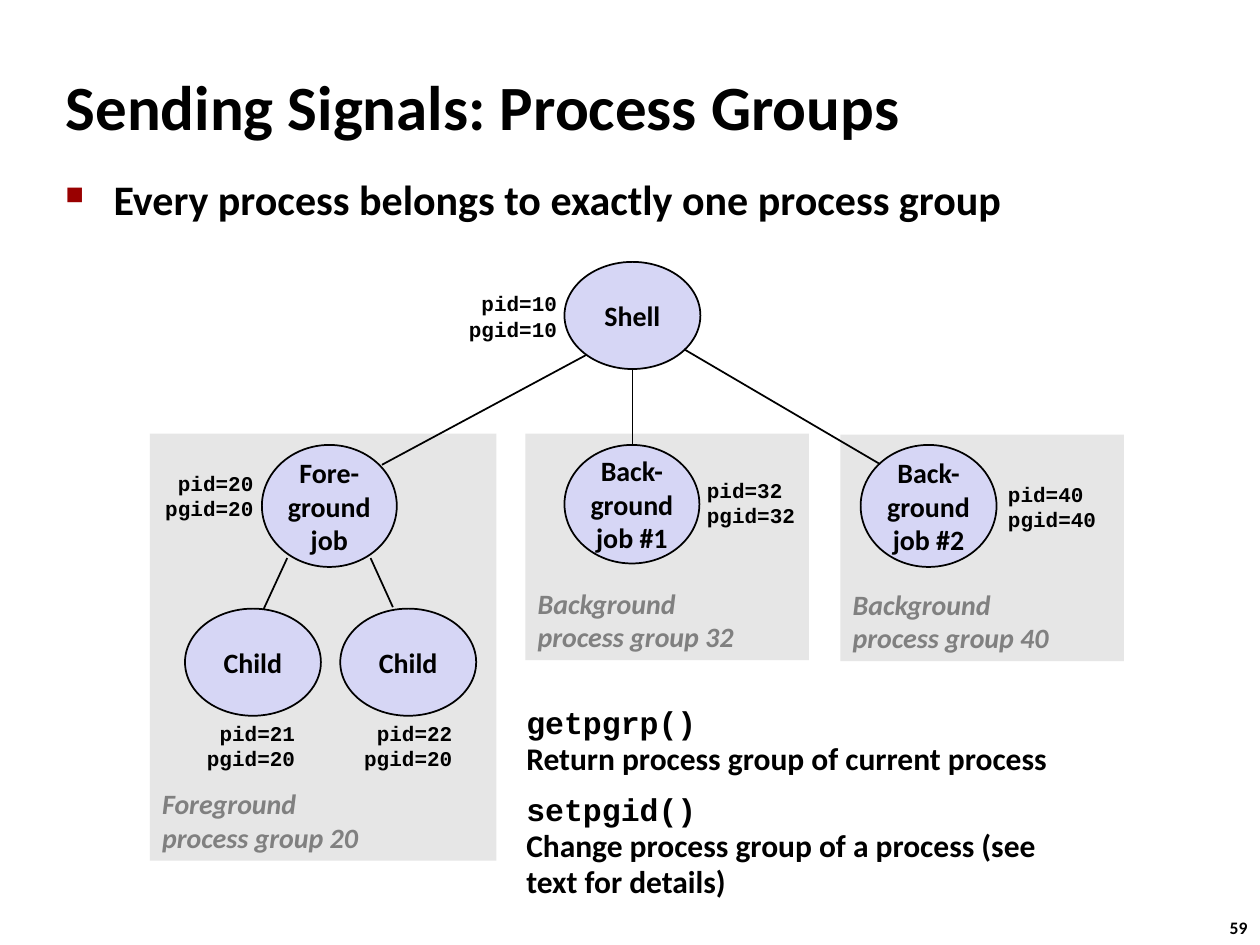
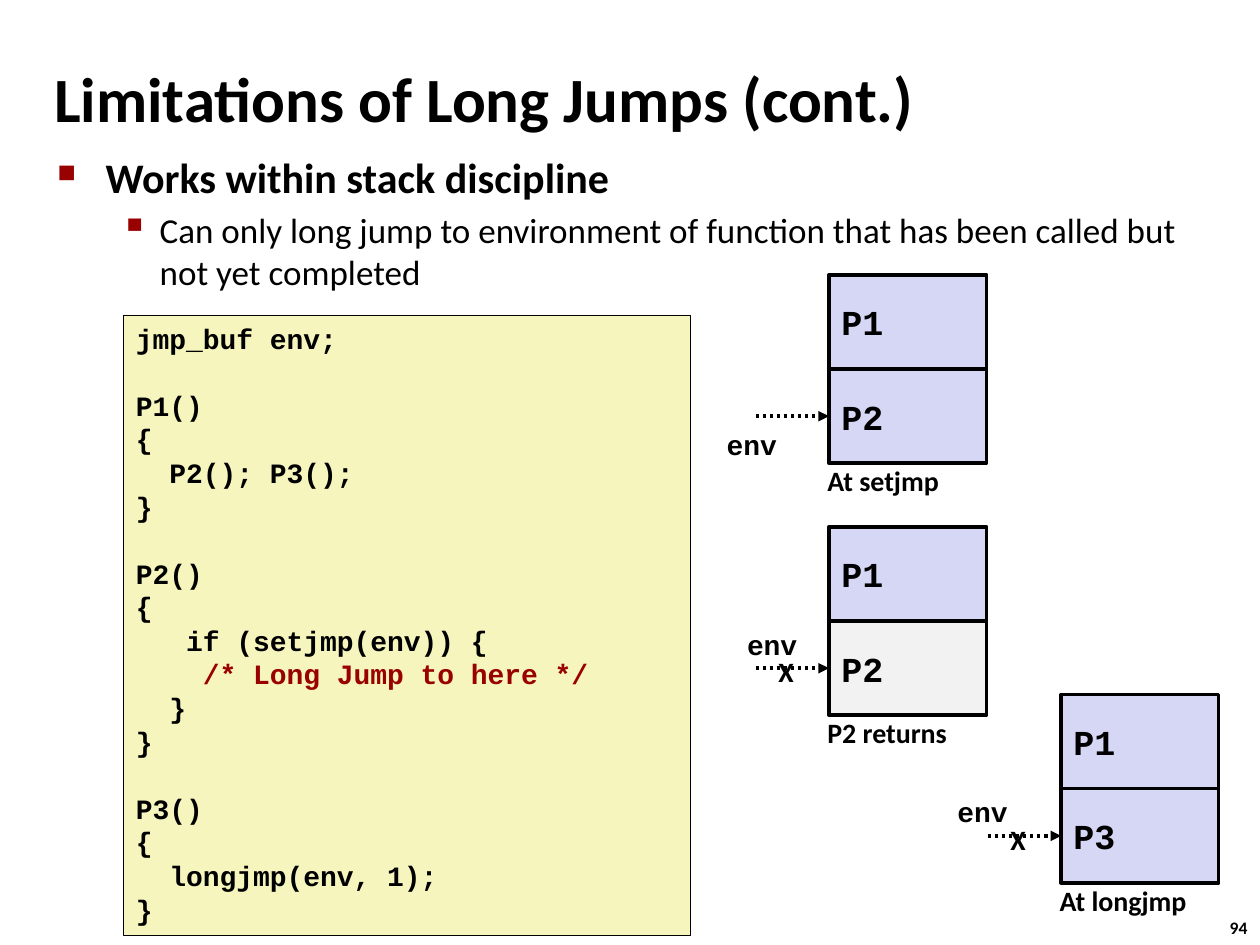
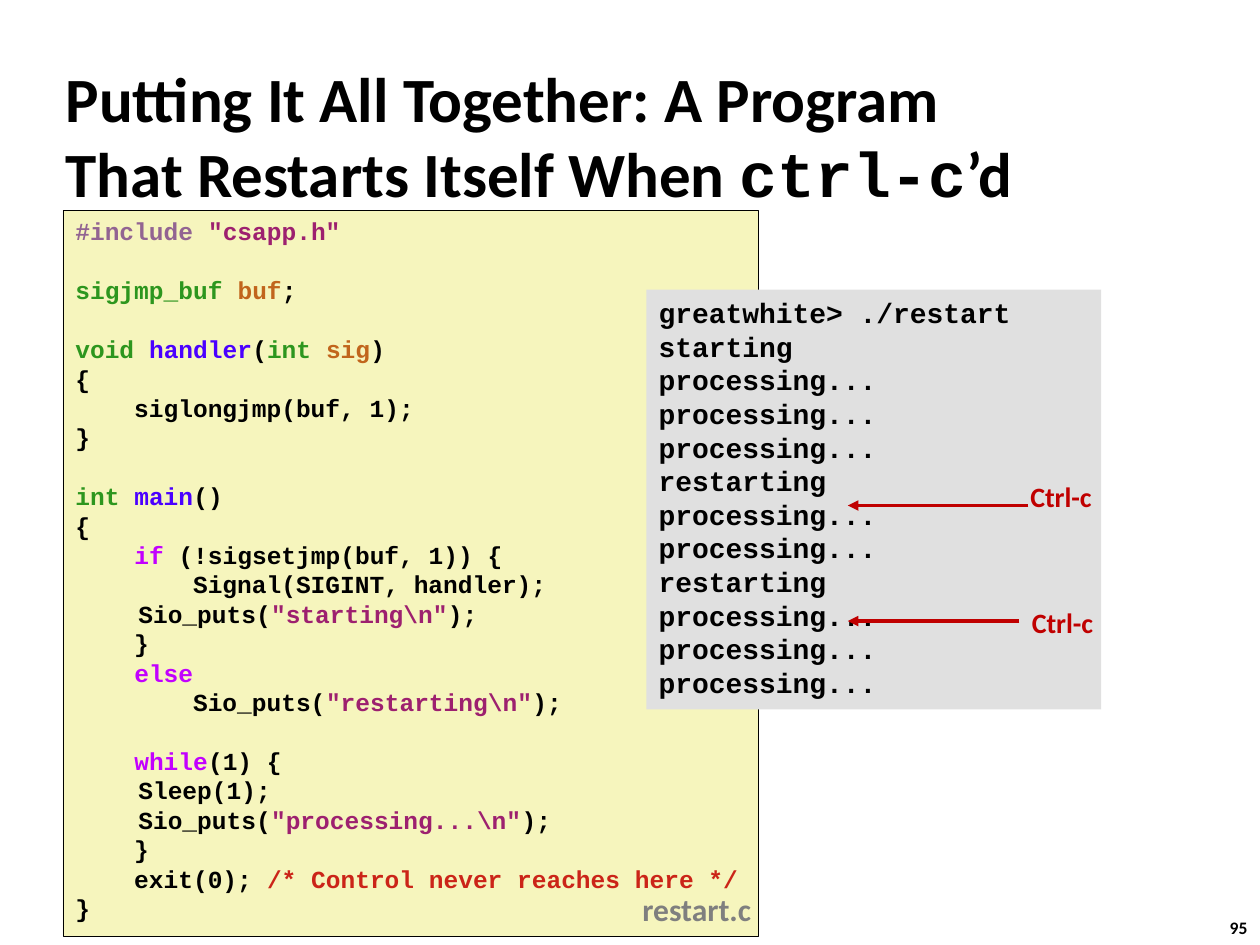
"""Build three lecture slides on signals, process groups and nonlocal jumps."""
from lxml import etree
from pptx import Presentation
from pptx.dml.color import RGBColor
from pptx.enum.dml import MSO_LINE
from pptx.enum.shapes import MSO_CONNECTOR, MSO_SHAPE
from pptx.enum.text import MSO_ANCHOR, MSO_AUTO_SIZE, PP_ALIGN
from pptx.oxml.ns import qn
from pptx.util import Cm, Pt

RECT, OVAL = MSO_SHAPE.RECTANGLE, MSO_SHAPE.OVAL
LEFT, CENTER, RIGHT = PP_ALIGN.LEFT, PP_ALIGN.CENTER, PP_ALIGN.RIGHT
TOP, MIDDLE = MSO_ANCHOR.TOP, MSO_ANCHOR.MIDDLE
STRAIGHT, DOTTED = MSO_CONNECTOR.STRAIGHT, MSO_LINE.ROUND_DOT
SANS, MONO = "Calibri", "Courier New"
COLOURS = {
    "black": "000000", "lavender": "D6D6F5", "panel": "E6E6E6", "faded": "F2F2F2",
    "code": "F6F5BD", "terminal": "E0E0E0", "label": "808080", "file": "7F7F7F",
    "accent": "990000", "signal": "C00000", "directive": "926492", "string": "9D206F",
    "type": "2D961E", "variable": "C1651C", "function": "4A00FF", "keyword": "C200FF",
    "comment": "CB2418",
}
RGB = {name: RGBColor.from_string(value) for name, value in COLOURS.items()}


def write(paragraph, runs, size, font=SANS, colour="black", bold=True, italic=False):
    if isinstance(runs, str):
        runs = [(runs, colour)]
    for run_parts in runs:
        text, ink, face = (*run_parts, font)[:3]
        if text == "\n":
            paragraph.add_line_break()
            continue
        run = paragraph.add_run()
        run.text = text
        run.font.size = Pt(size)
        run.font.name = face
        run.font.bold = bold
        run.font.italic = italic
        run.font.color.rgb = RGB[ink]


def box(slide, place, lines, size=16, kind=None, fill=None, edge=0, align=LEFT,
        anchor=TOP, wrap=False, **style):
    place = [Cm(length) for length in place]
    if kind is None:
        shape = slide.shapes.add_textbox(*place)
    else:
        shape = slide.shapes.add_shape(kind, *place)
        shape.shadow.inherit = False
        shape.fill.solid()
        shape.fill.fore_color.rgb = RGB[fill]
        if edge:
            shape.line.color.rgb = RGB["black"]
            shape.line.width = Pt(edge)
        else:
            shape.line.fill.background()
    frame = shape.text_frame
    frame.word_wrap = wrap
    frame.vertical_anchor = anchor
    if kind is None and not wrap:
        frame.auto_size = MSO_AUTO_SIZE.SHAPE_TO_FIT_TEXT
    gap = 0
    for index, line in enumerate(lines):
        if not line:
            gap += 1.2 * size
            continue
        paragraph = frame.add_paragraph() if index else frame.paragraphs[0]
        paragraph.alignment = align
        paragraph.space_before = Pt(gap)
        write(paragraph, line, size, **style)
        gap = 0
    return shape


prs = Presentation()
prs.slide_width, prs.slide_height = Cm(25.4), Cm(19.05)
headings = [
    ("59", (1.07, 1.07, 21.08, 2.11), "Sending Signals: Process Groups"),
    ("94", (0.84, 1.17, 22.05, 1.6), "Limitations of Long Jumps (cont.)"),
    ("95", (1.07, 1.19, 23.5, 3.05), [
        ("Putting It All Together: A Program", "black"), ("\n", "black"),
        ("That Restarts Itself When ", "black"), ("ctrl-c", "black", MONO), ("’d", "black")]),
]
slides = []
for number, place, heading in headings:
    slide = prs.slides.add_slide(prs.slide_layouts[5])
    title = slide.shapes.title
    title.left, title.top, title.width, title.height = [Cm(length) for length in place]
    title.text_frame.auto_size = MSO_AUTO_SIZE.NONE
    title.text_frame.vertical_anchor = MIDDLE
    title.text_frame.paragraphs[0].alignment = LEFT
    write(title.text_frame.paragraphs[0], heading, 36)
    box(slide, (24.54, 18.36, 0.94, 0.69), [number], 10)
    slides.append(slide)
groups_slide, jumps_slide, restart_slide = slides

bullet_levels = [
    {"size": 24, "bold": True, "margin": 0.97, "hang": 0.97, "mark": "■", "scale": 60},
    {"size": 20, "bold": False, "margin": 2.06, "hang": 0.79, "mark": "▪", "scale": 110},
]
bullet_lists = [
    (groups_slide, (1.07, 3.38, 21.44, 1.7),
     ["Every process belongs to exactly one process group"]),
    (jumps_slide, (0.91, 2.92, 23.09, 3.23),
     ["Works within stack discipline",
      "Can only long jump to environment of function that has been called but "
      "not yet completed"]),
]
for slide, place, points in bullet_lists:
    frame = box(slide, place, [], wrap=True).text_frame
    for index, (point, level) in enumerate(zip(points, bullet_levels)):
        paragraph = frame.add_paragraph() if index else frame.paragraphs[0]
        paragraph.level = index
        paragraph.space_before = Pt(0.2 * level["size"])
        write(paragraph, point, level["size"], bold=level["bold"])
        props = paragraph._p.get_or_add_pPr()
        props.set("marL", str(Cm(level["margin"])))
        props.set("indent", str(-Cm(level["hang"])))
        bullet_colour = etree.SubElement(props, qn("a:buClr"))
        etree.SubElement(bullet_colour, qn("a:srgbClr")).set("val", COLOURS["accent"])
        etree.SubElement(props, qn("a:buSzPct")).set("val", str(level["scale"] * 1000))
        etree.SubElement(props, qn("a:buChar")).set("char", level["mark"])

process_groups = [
    (16.94, 8.76, 5.72, 4.57, "Background", 40),
    (10.59, 8.74, 5.72, 4.57, "Background", 32),
    (3.02, 8.74, 6.99, 8.61, "Foreground", 20),
]
for left, top, width, height, role, pgid in process_groups:
    box(groups_slide, (left, top, width, height), [], kind=RECT, fill="panel")
    box(groups_slide, (left, top + height - 1.63, 4.52, 1.63),
        [role, f"process group {pgid}"], anchor=MIDDLE, colour="label", italic=True)

processes = [
    (["Shell"], (11.38, 5.28, 2.74, 2.16), 10, 10, (9.17, 5.74), RIGHT),
    (["Fore-", "ground", "job"], (5.28, 8.97, 2.72, 2.46), 20, 20, (3.05, 9.35), RIGHT),
    (["Back-", "ground", "job #1"], (11.38, 8.97, 2.72, 2.39), 32, 32, (14, 9.5), LEFT),
    (["Back-", "ground", "job #2"], (17.35, 8.97, 2.74, 2.46), 40, 40, (20.07, 9.58), LEFT),
    (["Child"], (3.73, 12.27, 2.74, 2.16), 21, 20, (3.89, 14.4), RIGHT),
    (["Child"], (6.86, 12.27, 2.74, 2.16), 22, 20, (7.06, 14.4), RIGHT),
]
for name, place, pid, pgid, ids_corner, ids_align in processes:
    box(groups_slide, place, name, kind=OVAL, fill="lavender", edge=1,
        align=CENTER, anchor=MIDDLE)
    box(groups_slide, (*ids_corner, 2.31, 1.27), [f"pid={pid}", f"pgid={pgid}"], 12,
        align=ids_align, anchor=MIDDLE, font=MONO)

family_links = [
    (5.79, 11.25, 5.31, 12.29),
    (7.47, 11.25, 7.92, 12.24),
    (12.75, 7.42, 12.75, 8.97),
    (11.81, 7.16, 7.7, 9.37),
    (13.79, 7.04, 17.73, 9.35),
]
links = [(groups_slide, ends, "black", 1, None, False, None) for ends in family_links]

calls = box(groups_slide, (10.36, 14.1, 11.43, 4.32), [
    [("getpgrp()", "black", MONO), ("\n", "black"),
     ("Return process group of current process", "black")],
    [("setpgid()", "black", MONO), ("\n", "black"),
     ("Change process group of a process (see text for details)", "black")],
], 18, wrap=True)
for paragraph in calls.text_frame.paragraphs:
    paragraph.line_spacing = 0.95
    paragraph.space_before = Pt(9)

box(jumps_slide, (2.49, 6.35, 11.43, 12.5), [
    "jmp_buf env;",
    "",
    "P1()",
    "{",
    "  P2(); P3();",
    "}",
    "",
    "P2()",
    "{",
    "   if (setjmp(env)) {",
    [("    ", "black"), ("/* Long Jump to here */", "accent")],
    "  }",
    "}",
    "",
    "P3()",
    "{",
    "  longjmp(env, 1);",
    "}",
], kind=RECT, fill="code", edge=0.25, wrap=True, font=MONO)

FRAME_W, FRAME_H = 3.18, 1.9
stacks = [
    (16.71, 5.54, "P2", "lavender", "At setjmp", 2.79, (-2.31, 2.95), False),
    (16.71, 10.62, "P2", "faded", "P2 returns", 2.95, (-1.9, 1.9), True),
    (21.39, 14, "P3", "lavender", "At longjmp", 3.1, (-2.34, 1.9), True),
]
for left, top, callee, callee_fill, moment, moment_width, env_offset, invalid in stacks:
    for level, (function, fill) in enumerate([("P1", "lavender"), (callee, callee_fill)]):
        callee_frame = box(
            jumps_slide, (left, top + level * FRAME_H, FRAME_W, FRAME_H), [function], 20,
            kind=RECT, fill=fill, edge=2, anchor=MIDDLE, wrap=True, font=MONO)
    arrow_y = top + 1.5 * FRAME_H
    links.append((jumps_slide, (left - 1.48, arrow_y, left, arrow_y),
                  "black", 2, DOTTED, True, callee_frame))
    box(jumps_slide, (left + env_offset[0], top + env_offset[1], 1.52, 0.94), ["env"],
        font=MONO)
    box(jumps_slide, (left - 0.28, top + 3.68, moment_width, 0.94), [moment])
    if invalid:
        box(jumps_slide, (left - 1.27, arrow_y - 0.4, 0.84, 0.94), ["X"])

box(restart_slide, (1.27, 4.24, 14.02, 14.63), [
    [("#include ", "directive"), ('"csapp.h"', "string")],
    "",
    [("sigjmp_buf ", "type"), ("buf", "variable"), (";", "black")],
    "",
    [("void ", "type"), ("handler", "function"), ("(", "black"), ("int ", "type"),
     ("sig", "variable"), (")", "black")],
    "{",
    "    siglongjmp(buf, 1);",
    "}",
    "",
    [("int ", "type"), ("main", "function"), ("()", "black")],
    "{",
    [("    ", "black"), ("if", "keyword"), (" (!sigsetjmp(buf, 1)) {", "black")],
    "        Signal(SIGINT, handler);",
    [("\tSio_puts(", "black"), ('"starting\\n"', "string"), (");", "black")],
    "    }",
    [("    ", "black"), ("else", "keyword")],
    [("        Sio_puts(", "black"), ('"restarting\\n"', "string"), (");", "black")],
    "",
    [("    ", "black"), ("while", "keyword"), ("(1) {", "black")],
    "\tSleep(1);",
    [("\tSio_puts(", "black"), ('"processing...\\n"', "string"), (");", "black")],
    "    }",
    [("    exit(0); ", "black"), ("/* Control never reaches here */", "comment")],
    "}",
], 14, kind=RECT, fill="code", edge=0.25, wrap=True, font=MONO)
box(restart_slide, (12.7, 17.81, 2.72, 1.02), ["restart.c"], 18, colour="file")

working = "processing..."
box(restart_slide, (13.03, 5.84, 9.17, 8.46),
    ["greatwhite> ./restart", "starting", *[working] * 3,
     "restarting", *[working] * 2, "restarting", *[working] * 3],
    kind=RECT, fill="terminal", wrap=True, font=MONO)
for label_left, label_top, start_x, arrow_y in [(20.52, 9.55, 20.73, 10.19),
                                                (20.55, 12.09, 20.55, 12.52)]:
    box(restart_slide, (label_left, label_top, 1.8, 0.94), ["Ctrl-c"], colour="signal")
    links.append((restart_slide, (start_x, arrow_y, 17.09, arrow_y),
                  "signal", 2, None, True, None))

for slide, ends, colour, width, dash, arrow, target in links:
    link = slide.shapes.add_connector(STRAIGHT, *[Cm(length) for length in ends])
    link.line.color.rgb = RGB[colour]
    link.line.width = Pt(width)
    if dash:
        link.line.dash_style = dash
    if target:
        link.end_connect(target, 1)
    props = link._element.spPr
    if arrow:
        etree.SubElement(props.find(qn("a:ln")), qn("a:tailEnd")).set("type", "triangle")
    etree.SubElement(props, qn("a:effectLst"))

prs.save("out.pptx")
